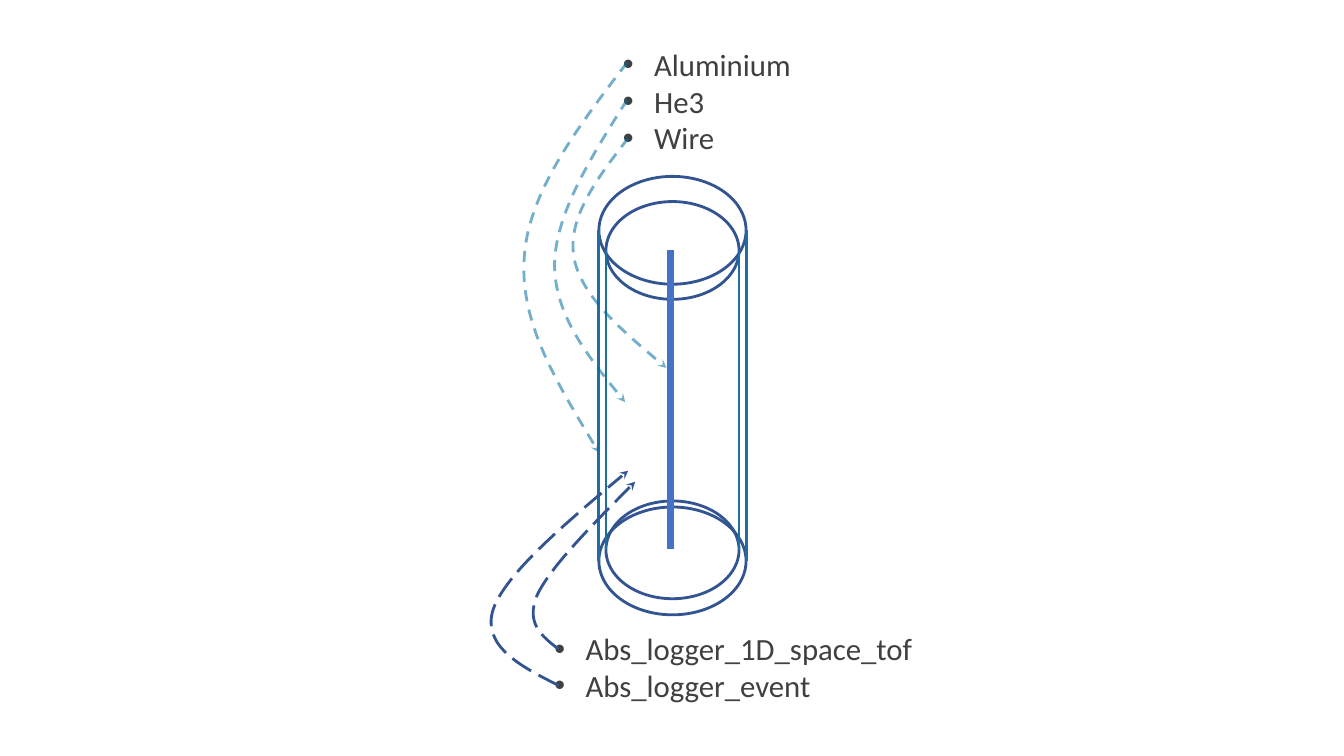
from dataclasses import dataclass

from lxml import etree
from pptx import Presentation
from pptx.dml.color import RGBColor
from pptx.enum.dml import MSO_LINE
from pptx.enum.shapes import MSO_CONNECTOR, MSO_SHAPE
from pptx.enum.text import MSO_AUTO_SIZE
from pptx.oxml.ns import qn
from pptx.util import Inches, Pt

ELLIPSE = MSO_SHAPE.OVAL
STRAIGHT = MSO_CONNECTOR.STRAIGHT
DASH, LONG_DASH = MSO_LINE.DASH, MSO_LINE.LONG_DASH
FIT_SHAPE = MSO_AUTO_SIZE.SHAPE_TO_FIT_TEXT


@dataclass(frozen=True)
class Theme:
    font: str = "Calibri"
    text_size: float = 22
    text: str = "404040"
    rim: str = "325491"
    wall: str = "1C6F9F"
    wire: str = "4472C4"
    material: str = "006FA1"
    logger: str = "325491"
    line_width: float = 2
    wire_width: float = 5
    material_opacity: int = 54
    bullet_indent: float = 3.1


def grid(cells):
    """Length of grid columns or rows, ten to the inch."""
    return Inches(cells / 10)


def add_child(parent, tag, **attributes):
    return etree.SubElement(parent, qn(tag), attributes)


def write_text(para, text, *, font, size, color):
    span = para.add_run()
    span.text = text
    span.font.name = font
    span.font.size = Pt(size)
    span.font.color.rgb = RGBColor.from_string(color)


class DetectorSlide:
    def __init__(self, page, theme):
        self.page = page
        self.theme = theme

    def style_line(self, shape, color, width):
        shape.line.color.rgb = RGBColor.from_string(color)
        shape.line.width = Pt(width)

    def ellipse(self, group, x, y, rx, ry):
        """Rim ellipse given by its centre and radii."""
        rim = group.shapes.add_shape(
            ELLIPSE, grid(x - rx), grid(y - ry), grid(2 * rx), grid(2 * ry))
        rim.shadow.inherit = False
        rim.fill.background()
        self.style_line(rim, self.theme.rim, self.theme.line_width)

    def vertical(self, group, x, top, bottom, color, width):
        line = group.shapes.add_connector(
            STRAIGHT, grid(x), grid(top), grid(x), grid(bottom))
        add_child(line.element.spPr, "a:effectLst")
        self.style_line(line, color, width)

    def tube(self, group, x, top, bottom, rx, ry):
        """Open cylinder: two rims joined by two walls."""
        for y in (top, bottom):
            self.ellipse(group, x, y, rx, ry)
        for side in (x + rx, x - rx):
            self.vertical(group, side, top, bottom,
                          self.theme.wall, self.theme.line_width)

    def bullets(self, items, left, top, width, height):
        box = self.page.shapes.add_textbox(
            grid(left), grid(top), grid(width), grid(height))
        frame = box.text_frame
        frame.word_wrap = True
        frame.auto_size = FIT_SHAPE
        indent = grid(self.theme.bullet_indent)
        for index, item in enumerate(items):
            para = frame.add_paragraph() if index else frame.paragraphs[0]
            settings = para._p.get_or_add_pPr()
            settings.set("marL", str(indent))
            settings.set("indent", str(-indent))
            add_child(settings, "a:buFont", typeface="Arial")
            add_child(settings, "a:buChar", char="•")
            write_text(para, item, font=self.theme.font,
                       size=self.theme.text_size, color=self.theme.text)

    def curved_arrow(self, points, color, dash, opacity=100):
        """Two joined Bézier curves: start, then two controls and an end each."""
        spots = [(grid(x), grid(y)) for x, y in points]
        builder = self.page.shapes.build_freeform(*spots[0])
        builder.add_line_segments(spots[3::3], close=False)
        arrow = builder.convert_to_shape()
        arrow.shadow.inherit = False
        arrow.fill.background()
        self.style_line(arrow, color, self.theme.line_width)
        arrow.line.dash_style = dash

        outline = arrow.element.find(".//" + qn("a:path"))
        for segment in outline.findall(qn("a:lnTo")):
            outline.remove(segment)
        for start in (1, 4):
            curve = add_child(outline, "a:cubicBezTo")
            for x, y in spots[start:start + 3]:
                add_child(curve, "a:pt", x=str(x - arrow.left), y=str(y - arrow.top))

        stroke = arrow.element.spPr.find(qn("a:ln"))
        add_child(stroke, "a:tailEnd", type="stealth")
        if opacity < 100:
            add_child(stroke.find(".//" + qn("a:srgbClr")), "a:alpha",
                      val=str(opacity * 1000))


MATERIAL_ARROWS = [
    [(62.2, 6.2), (57.3, 12.6), (52.4, 19.1), (52, 25.5),
     (51.5, 32), (55.5, 38.4), (59.4, 44.9)],
    [(62.2, 9.9), (58.6, 15.6), (55.1, 21.2), (55, 26.2),
     (55, 31.2), (58.5, 35.6), (62, 39.9)],
    [(62.3, 13.7), (59.3, 17.6), (56.3, 21.5), (56.9, 25.4),
     (57.5, 29.2), (61.8, 32.9), (66.1, 36.5)],
]
LOGGER_ARROWS = [
    [(55.4, 64.4), (53.7, 63.1), (52.1, 61.8), (53.3, 59),
     (54.6, 56.3), (58.8, 52), (63, 47.8)],
    [(55.4, 68), (51.6, 66.1), (47.8, 64.1), (48.9, 60.5),
     (50.1, 57), (56.2, 51.8), (62.3, 46.7)],
]


def main():
    deck = Presentation()
    deck.slide_width, deck.slide_height = Inches(13.33), Inches(7.5)
    page = deck.slides.add_slide(deck.slide_layouts[6])
    theme = Theme()
    slide = DetectorSlide(page, theme)

    detector = page.shapes.add_group_shape()
    slide.tube(detector, x=66.7, top=22.85, bottom=55.65, rx=7.3, ry=5.35)
    slide.tube(detector, x=66.7, top=24.85, bottom=54.55, rx=6.6, ry=4.85)
    slide.vertical(detector, 66.5, 24.8, 54.5, theme.wire, theme.wire_width)

    slide.bullets(["Aluminium", "He3", "Wire"], 60.8, 4, 26.3, 12.1)
    for points in MATERIAL_ARROWS:
        slide.curved_arrow(points, theme.material, DASH, theme.material_opacity)

    slide.bullets(["Abs_logger_1D_space_tof", "Abs_logger_event"],
                  54, 62, 38.4, 8.4)
    for points in LOGGER_ARROWS:
        slide.curved_arrow(points, theme.logger, LONG_DASH)

    deck.save("out.pptx")


if __name__ == "__main__":
    main()
